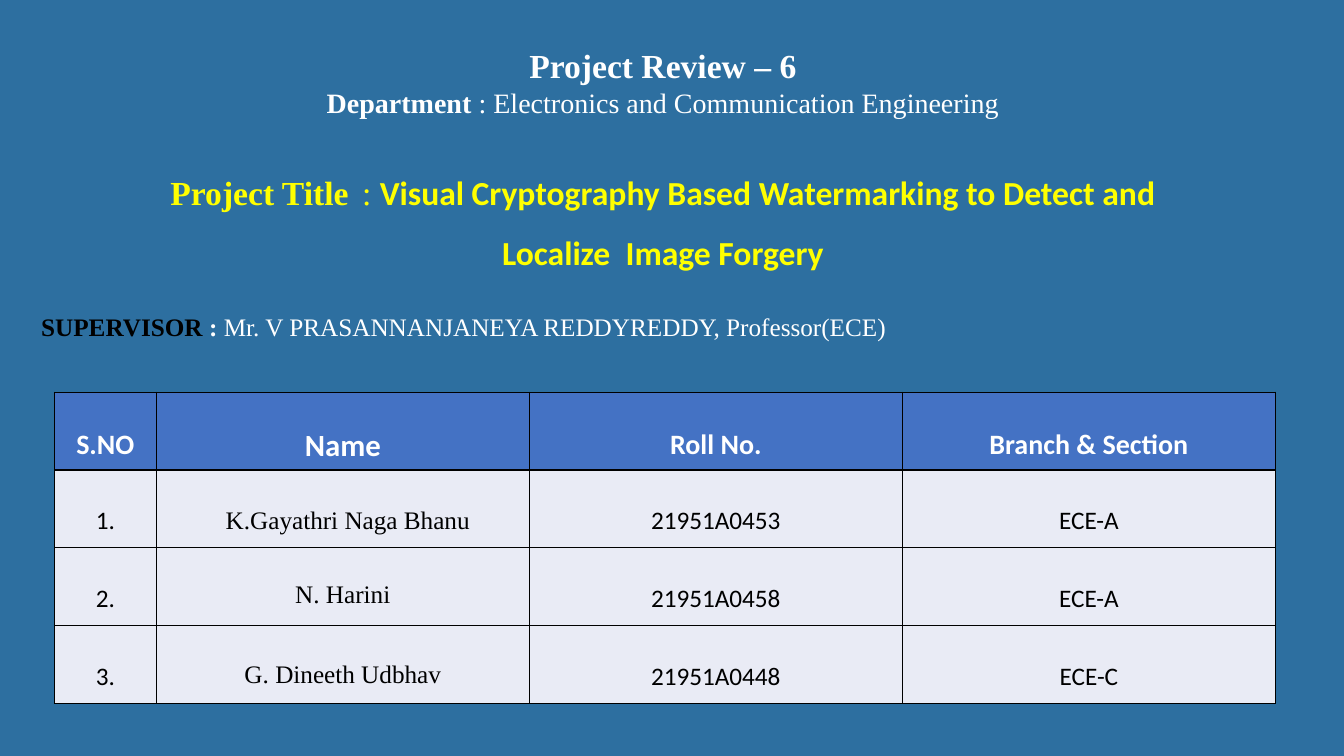
from lxml import etree
from pptx import Presentation
from pptx.dml.color import RGBColor
from pptx.enum.shapes import MSO_SHAPE
from pptx.enum.text import MSO_ANCHOR, PP_ALIGN
from pptx.oxml.ns import qn
from pptx.util import Inches, Pt

RECT = MSO_SHAPE.RECTANGLE
TOP = MSO_ANCHOR.TOP
LEFT, CENTER = PP_ALIGN.LEFT, PP_ALIGN.CENTER

BACK = RGBColor(0x2D, 0x6F, 0xA0)
HEAD = RGBColor(0x44, 0x72, 0xC4)
BODY = RGBColor(0xE9, 0xEB, 0xF5)
WHITE = RGBColor(0xFF, 0xFF, 0xFF)
BLACK = RGBColor(0, 0, 0)
YELLOW = RGBColor(0xFF, 0xFF, 0)
SERIF, SANS = "Times New Roman", "Calibri"


def write(para, align, *parts):
    """Fill a paragraph with (text, size, font, colour, bold) runs."""
    para.alignment = align
    for text, size, face, color, bold in parts:
        run = para.add_run()
        run.text = text
        run.font.size = Pt(size)
        run.font.name = face
        run.font.color.rgb = color
        run.font.bold = bold


def edge(cell):
    """Draw a thin black line on all four sides of a cell."""
    props = cell._tc.get_or_add_tcPr()
    for spot, side in enumerate(("a:lnL", "a:lnR", "a:lnT", "a:lnB")):
        line = etree.Element(qn(side), w=str(Pt(1)))
        fill = etree.SubElement(line, qn("a:solidFill"))
        etree.SubElement(fill, qn("a:srgbClr"), val=str(BLACK))
        props.insert(spot, line)


deck = Presentation()
deck.slide_width, deck.slide_height = Inches(13.33), Inches(7.5)
slide = deck.slides.add_slide(deck.slide_layouts[6])
shapes = slide.shapes

# Background panel
panel = shapes.add_shape(RECT, 0, 0, deck.slide_width, deck.slide_height)
panel.shadow.inherit = False
panel.fill.solid()
panel.fill.fore_color.rgb = BACK
panel.line.fill.background()

# Heading and project title
frame = shapes.add_textbox(Inches(1.3), Inches(0.4), Inches(10.55), Inches(2.92)).text_frame
frame.word_wrap = True
write(frame.paragraphs[0], CENTER, ("Project Review – 6", 24, SERIF, WHITE, True))
write(frame.add_paragraph(), CENTER,
      ("Department", 20, SERIF, WHITE, True),
      (" : Electronics and Communication Engineering", 20, SERIF, WHITE, False))
title = frame.add_paragraph()
title.space_before = Pt(23)
title.line_spacing = 1.5
write(title, CENTER,
      ("Project Title ", 24, SERIF, YELLOW, True),
      (" ", 14, SERIF, YELLOW, False),
      (": ", 24, SERIF, YELLOW, False),
      ("Visual Cryptography Based Watermarking to Detect and Localize  Image Forgery",
       24, SANS, YELLOW, True))

# Supervisor
frame = shapes.add_textbox(Inches(0.31), Inches(3.04), Inches(9.01), Inches(0.71)).text_frame
frame.word_wrap = True
write(frame.paragraphs[0], LEFT,
      ("SUPERVISOR", 18, SERIF, BLACK, True),
      (" : ", 18, SERIF, WHITE, True),
      ("Mr. V PRASANNANJANEYA REDDYREDDY, Professor(ECE)", 18, SERIF, WHITE, False))

# Team table
rows = [
    ("S.NO", "Name", "Roll No.", "Branch & Section"),
    ("1.", "K.Gayathri Naga Bhanu", "21951A0453", "ECE-A"),
    ("2.", "N. Harini", "21951A0458", "ECE-A"),
    ("3.", "G. Dineeth Udbhav", "21951A0448", "ECE-C"),
]
widths = (1.01, 3.7, 3.7, 3.7)
drops = (0.35, 0.37, 0.33, 0.35)  # top margins of the name column
table = shapes.add_table(len(rows), len(widths), Inches(0.54), Inches(3.89),
                         Inches(sum(widths)), Inches(3.09)).table
for col, width in zip(table.columns, widths):
    col.width = Inches(width)

for r, row in enumerate(rows):
    table.rows[r].height = Inches(3.09 / len(rows))
    for c, text in enumerate(row):
        cell = table.cell(r, c)
        named = c == 1
        cell.vertical_anchor = TOP
        cell.margin_top = Inches(drops[r] if named else 0.35)
        cell.margin_left = Inches(0.2 if named and r == 1 else 0.1)
        cell.fill.solid()
        cell.fill.fore_color.rgb = BODY if r else HEAD
        edge(cell)
        if r:
            look = (18, SERIF if named else SANS, BLACK, False)
        else:
            look = (22 if named else 20, SANS, WHITE, True)
        write(cell.text_frame.paragraphs[0], CENTER, (text, *look))

deck.save("out.pptx")
